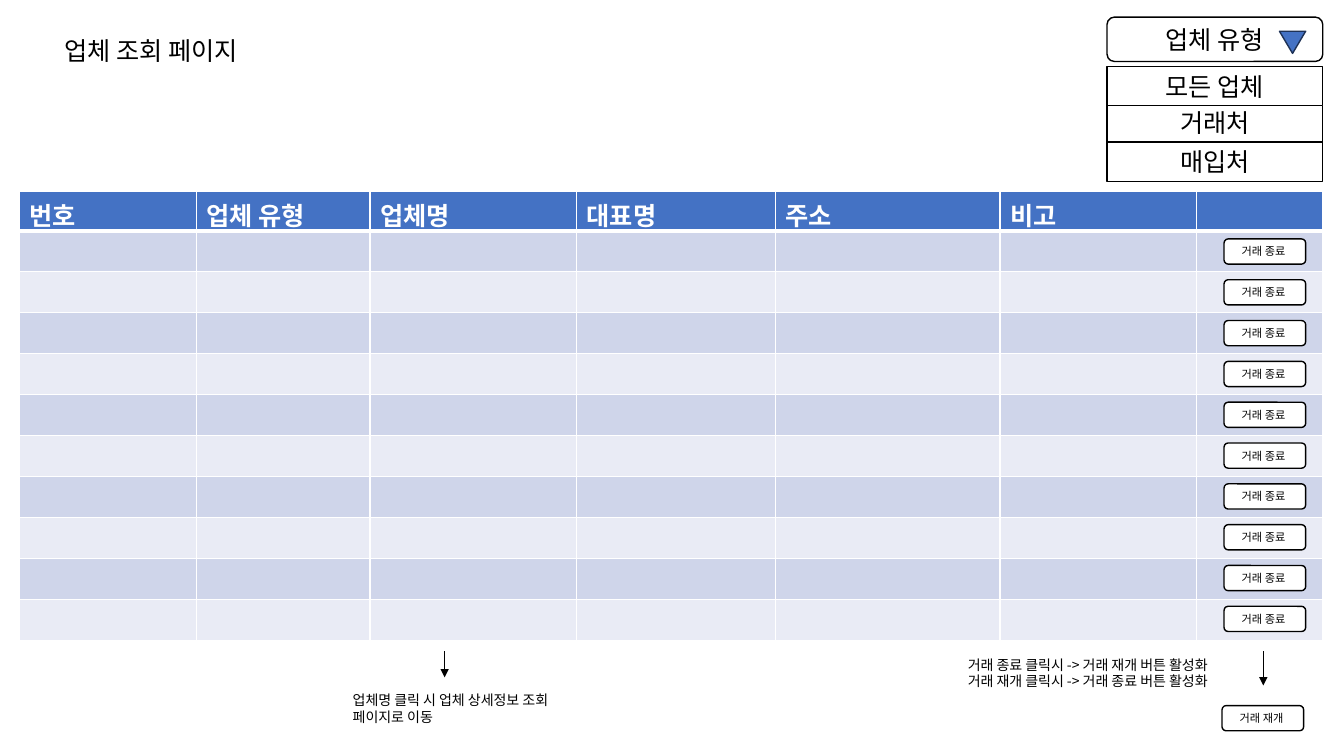
from dataclasses import dataclass
from typing import Any

from lxml import etree
from pptx import Presentation
from pptx import util as u
from pptx.dml import color
from pptx.enum import shapes, text
from pptx.oxml import ns

FONT = "Noto Sans CJK KR"
HUES = {"ink": "000000", "paper": "FFFFFF", "blue": "4472C4", "navy": "1E3256",
        "dark": "CFD5EA", "light": "E9EBF5"}
KIND = shapes.MSO_SHAPE
HEADS = ["번호", "업체 유형", "업체명", "대표명", "주소", "비고", ""]
WIDTHS = [1.76, 1.72, 2.05, 1.97, 2.23, 1.95, 1.25]
ROWS = 10
HEAD_H = 0.39
ROW_H = 0.407
STEP = 0.405


@dataclass
class Box:
    left: float
    top: float
    width: float
    height: float
    words: str = ""
    size: float = 18
    kind: Any = KIND.RECTANGLE
    fill: str = "paper"
    line: str = "ink"


@dataclass
class Arrow:
    left: float
    top: float
    end: float


def tint(name: str) -> color.RGBColor:
    return color.RGBColor.from_string(HUES[name])


def apply(target: Any, values: dict[str, Any]) -> None:
    for name, value in values.items():
        setattr(target, name, value)


def write(frame: Any, words: str, size: float, hue: str = "ink",
          bold: bool = False, align: Any = None) -> None:
    for index, line in enumerate(words.split("\n")):
        para = frame.add_paragraph() if index else frame.paragraphs[0]
        para.alignment = align
        run = para.add_run()
        run.text = line
        apply(run.font, {"name": FONT, "size": u.Pt(size), "bold": bold})
        run.font.color.rgb = tint(hue)
        east = etree.SubElement(run.font._element, ns.qn("a:ea"))
        east.set("typeface", FONT)


def place(box: Box) -> tuple[int, ...]:
    return tuple(u.Inches(n) for n in (box.left, box.top, box.width, box.height))


def draw_box(slide: Any, box: Box) -> None:
    shape = slide.shapes.add_shape(box.kind, *place(box))
    shape.shadow.inherit = False
    shape.fill.solid()
    shape.fill.fore_color.rgb = tint(box.fill)
    shape.line.color.rgb = tint(box.line)
    shape.line.width = u.Pt(1)
    if box.words:
        apply(shape.text_frame, {"word_wrap": True,
                                 "vertical_anchor": text.MSO_ANCHOR.MIDDLE})
        write(shape.text_frame, box.words, box.size, align=text.PP_ALIGN.CENTER)


def draw_note(slide: Any, box: Box) -> None:
    frame = slide.shapes.add_textbox(*place(box)).text_frame
    frame.word_wrap = True
    write(frame, box.words, box.size)


def draw_arrow(slide: Any, arrow: Arrow) -> None:
    left = u.Inches(arrow.left)
    line = slide.shapes.add_connector(shapes.MSO_CONNECTOR.STRAIGHT, left,
                                      u.Inches(arrow.top), left, u.Inches(arrow.end))
    line.line.color.rgb = tint("ink")
    line.line.width = u.Pt(0.5)
    etree.SubElement(line.line._get_or_add_ln(), ns.qn("a:tailEnd"), type="triangle")
    etree.SubElement(line._element.spPr, ns.qn("a:effectLst"))


def edge(cell: Any, base: float) -> None:
    props = cell._tc.get_or_add_tcPr()
    sides = {"L": 1, "R": 1, "T": 1, "B": base}
    for index, (side, width) in enumerate(sides.items()):
        line = etree.Element(ns.qn(f"a:ln{side}"), w=str(u.Pt(width)))
        fill = etree.SubElement(line, ns.qn("a:solidFill"))
        etree.SubElement(fill, ns.qn("a:srgbClr"), val=HUES["paper"])
        props.insert(index, line)


def draw_grid(slide: Any) -> None:
    box = Box(0.19, 1.9, sum(WIDTHS), HEAD_H + ROWS * ROW_H)
    grid = slide.shapes.add_table(ROWS + 1, len(HEADS), *place(box)).table
    for col, width in zip(grid.columns, WIDTHS):
        col.width = u.Inches(width)
    for index, row in enumerate(grid.rows):
        row.height = u.Inches(ROW_H if index else HEAD_H)
        hue = ("dark" if index % 2 else "light") if index else "blue"
        for cell, head in zip(row.cells, HEADS):
            cell.margin_bottom = 0
            cell.fill.solid()
            cell.fill.fore_color.rgb = tint(hue)
            edge(cell, 1 if index else 3)
            if not index and head:
                write(cell.text_frame, head, 18, "paper", True)


def button(left: float, top: float, words: str) -> Box:
    return Box(left, top, 0.81, 0.25, words, 8, KIND.ROUNDED_RECTANGLE)


def main() -> None:
    deck = Presentation()
    apply(deck, {"slide_width": u.Inches(13.33), "slide_height": u.Inches(7.5)})
    slide = deck.slides.add_slide(deck.slide_layouts[6])
    draw_box(slide, Box(10.98, 0.17, 2.14, 0.44, "업체 유형", 18,
                        KIND.ROUNDED_RECTANGLE))
    draw_note(slide, Box(0.54, 0.3, 3.87, 0.4, "업체 조회 페이지"))
    draw_grid(slide)
    for index in range(ROWS):
        draw_box(slide, button(12.14, 2.37 + index * STEP, "거래 종료 "))
    draw_box(slide, button(12.12, 7, "거래 재개 "))
    for arrow in (Arrow(12.53, 6.46, 6.8), Arrow(4.41, 6.46, 6.72)):
        draw_arrow(slide, arrow)
    notes = [
        Box(3.4, 6.81, 2.59, 0.44,
            "업체명 클릭 시 업체 상세정보 조회 페이지로 이동", 10),
        Box(9.5, 6.46, 3.19, 0.44,
            "거래 종료 클릭시 -> 거래 재개 버튼 활성화\n"
            "거래 재개 클릭시 -> 거래 종료 버튼 활성화", 10),
    ]
    for note in notes:
        draw_note(slide, note)
    draw_box(slide, Box(12.69, 0.31, 0.26, 0.22, kind=KIND.FLOWCHART_MERGE,
                        fill="blue", line="navy"))
    for top, words in ((1.02, "거래처"), (1.41, "매입처"), (0.66, "모든 업체")):
        draw_box(slide, Box(10.98, top, 2.14, 0.39, words))
    deck.save("out.pptx")


if __name__ == "__main__":
    main()
